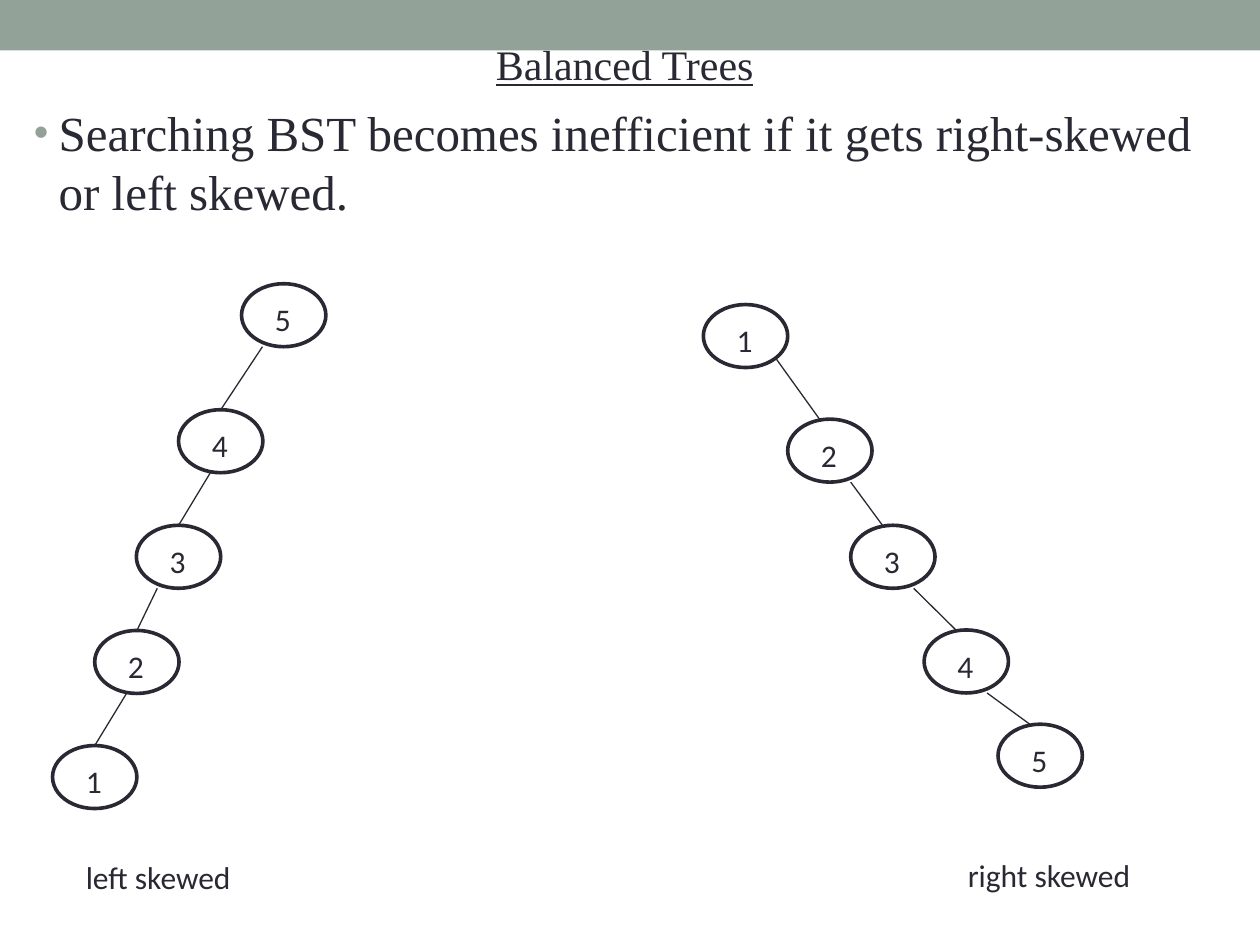
from lxml import etree
from pptx import Presentation
from pptx import util as u
from pptx.dml.color import RGBColor
from pptx.enum import shapes, text
from pptx.oxml import ns

INK = RGBColor(0x29, 0x29, 0x34)
SAGE = RGBColor(0x93, 0xA2, 0x99)
WHITE = RGBColor(0xFF, 0xFF, 0xFF)
NODE_WIDTH, NODE_HEIGHT = 1.7, 1.27

# Trees: (value, left, top, edge start inside the node), in cm from the tree's corner
LEFT_NODES = [
    ("5", 3.81, 0, (0.42, 1.27)),
    ("4", 2.54, 2.54, (0.64, 1.27)),
    ("3", 1.69, 4.87, (0.42, 1.27)),
    ("2", 0.85, 6.99, (0.64, 1.27)),
    ("1", 0, 9.31, None),
]
RIGHT_NODES = [
    ("1", 0, 0, (1.45, 1.07)),
    ("2", 1.7, 2.31, (1.27, 1.27)),
    ("3", 2.97, 4.45, (1.27, 1.27)),
    ("4", 4.45, 6.56, (1.27, 1.27)),
    ("5", 5.94, 8.46, None),
]


def add_label(page, left, top, width, words):
    box = page.shapes.add_textbox(u.Cm(left), u.Cm(top), u.Cm(width), u.Cm(1.02))
    box.text_frame.word_wrap = True
    para = box.text_frame.paragraphs[0]
    para.text = words
    para.font.name, para.font.size = "Calibri", u.Pt(18)
    para.font.color.rgb = INK


def add_node(page, left, top, value):
    node = page.shapes.add_shape(shapes.MSO_SHAPE.OVAL, u.Cm(left), u.Cm(top),
                                 u.Cm(NODE_WIDTH), u.Cm(NODE_HEIGHT))
    node.shadow.inherit = False
    node.fill.solid()
    node.fill.fore_color.rgb = WHITE
    node.line.color.rgb = INK
    node.line.width = u.Pt(2.08)
    add_label(page, left + 0.42, top + 0.21, 1.06, value)


def add_edge(page, start, end):
    edge = page.shapes.add_connector(shapes.MSO_CONNECTOR.STRAIGHT,
                                     *(u.Cm(length) for length in start + end))
    edge.line.color.rgb = INK
    edge.line.width = u.Pt(0.75)
    etree.SubElement(edge._element.spPr, ns.qn("a:effectLst"))


def add_tree(page, left, top, nodes, child_entry, caption, caption_at):
    """Draw a chain of nodes; each edge enters its child at child_entry on the top."""
    for value, x, y, _ in nodes:
        add_node(page, left + x, top + y, value)
    for (_, x, y, leave), (_, child_x, child_y, _) in zip(nodes, nodes[1:]):
        add_edge(page, (left + x + leave[0], top + y + leave[1]),
                 (left + child_x + child_entry, top + child_y))
    add_label(page, left + caption_at[0], top + caption_at[1], 4.65, caption)


def add_bar(page, width, height):
    bar = page.shapes.add_shape(shapes.MSO_SHAPE.RECTANGLE, 0, 0, width, height)
    bar.shadow.inherit = False
    bar.fill.solid()
    bar.fill.fore_color.rgb = SAGE
    bar.line.fill.background()
    page.shapes._spTree.insert(2, bar._element)  # behind the text


def set_bullet(para, char=None):
    properties = para._p.get_or_add_pPr()
    properties.set("marL", str(u.Cm(0.5)))
    properties.set("indent", str(u.Cm(-0.5)))
    if char is None:
        etree.SubElement(properties, ns.qn("a:buNone"))
        return
    color = etree.SubElement(properties, ns.qn("a:buClr"))
    etree.SubElement(color, ns.qn("a:srgbClr"), val=str(SAGE))
    etree.SubElement(properties, ns.qn("a:buSzPct"), val="85000")
    etree.SubElement(properties, ns.qn("a:buFont"), typeface="Arial")
    etree.SubElement(properties, ns.qn("a:buChar"), char=char)


def fill_body(body, left, top, width, height):
    body.left, body.top = u.Cm(left), u.Cm(top)
    body.width, body.height = u.Cm(width), u.Cm(height)
    frame = body.text_frame
    frame.auto_size = text.MSO_AUTO_SIZE.NONE
    heading, point = frame.paragraphs[0], frame.add_paragraph()
    heading.text = "Balanced Trees"
    point.text = "Searching BST becomes inefficient if it gets right-skewed or left skewed."
    set_bullet(heading)
    set_bullet(point, "•")
    heading.alignment = text.PP_ALIGN.CENTER
    for para, size, gap in ((heading, 24, 0), (point, 28, 8)):
        para.space_before = u.Pt(gap)
        para.font.name, para.font.size = "Times New Roman", u.Pt(size)
        para.font.color.rgb = INK
    heading.font.underline = True


def main():
    deck = Presentation()
    deck.slide_width, deck.slide_height = u.Cm(25.4), u.Cm(19.05)
    page = deck.slides.add_slide(deck.slide_layouts[1])
    title = page.shapes.title
    title._element.getparent().remove(title._element)

    # Top band and text
    add_bar(page, deck.slide_width, u.Cm(1.02))
    fill_body(page.placeholders[1], 0.43, 0.64, 24.33, 17.78)

    # Skewed trees
    add_tree(page, 1.06, 5.72, LEFT_NODES, 0.85, "left skewed", (0.42, 11.45))
    add_tree(page, 14.18, 6.14, RIGHT_NODES, 0.64, "right skewed", (5.08, 11))
    deck.save("out.pptx")


if __name__ == "__main__":
    main()
